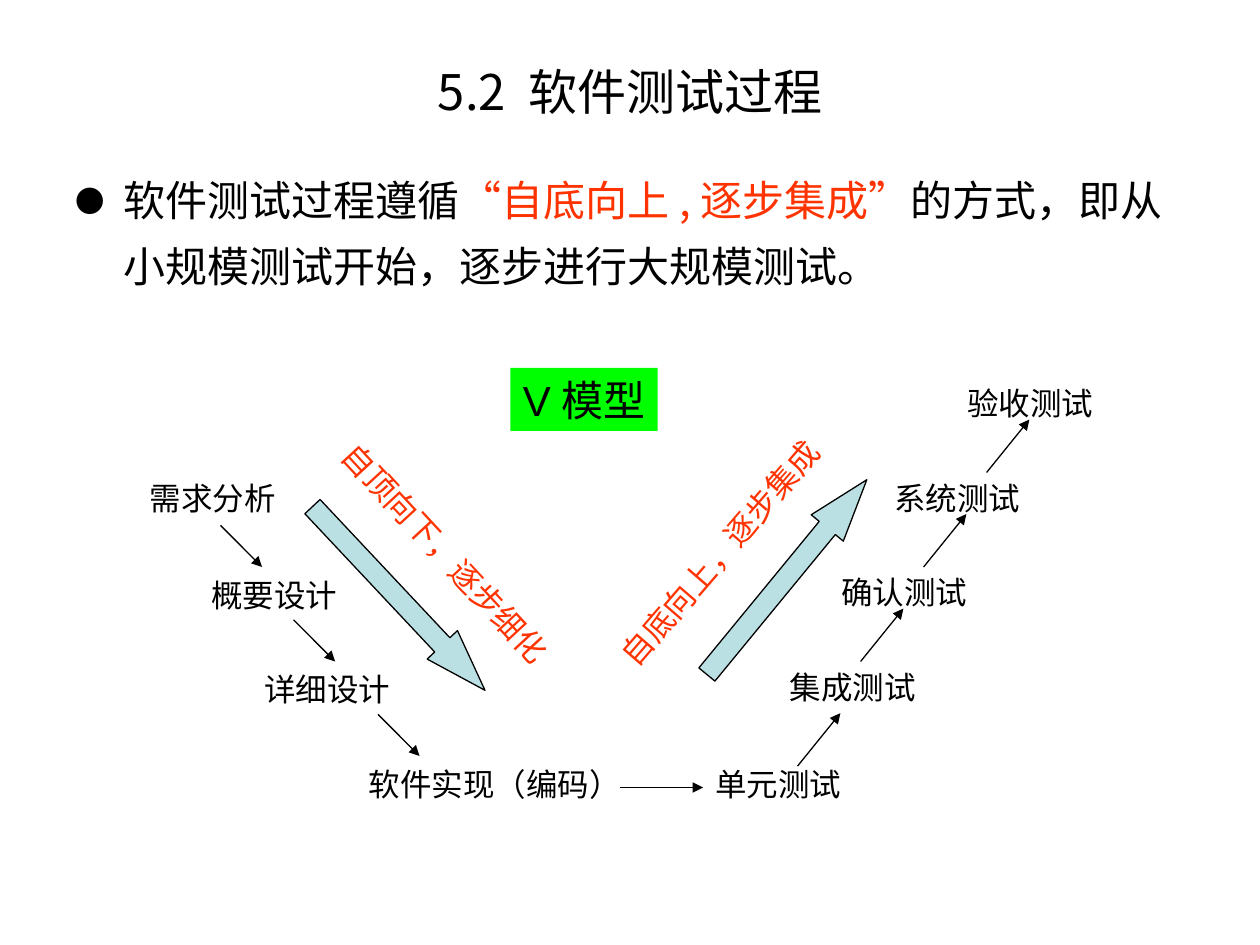
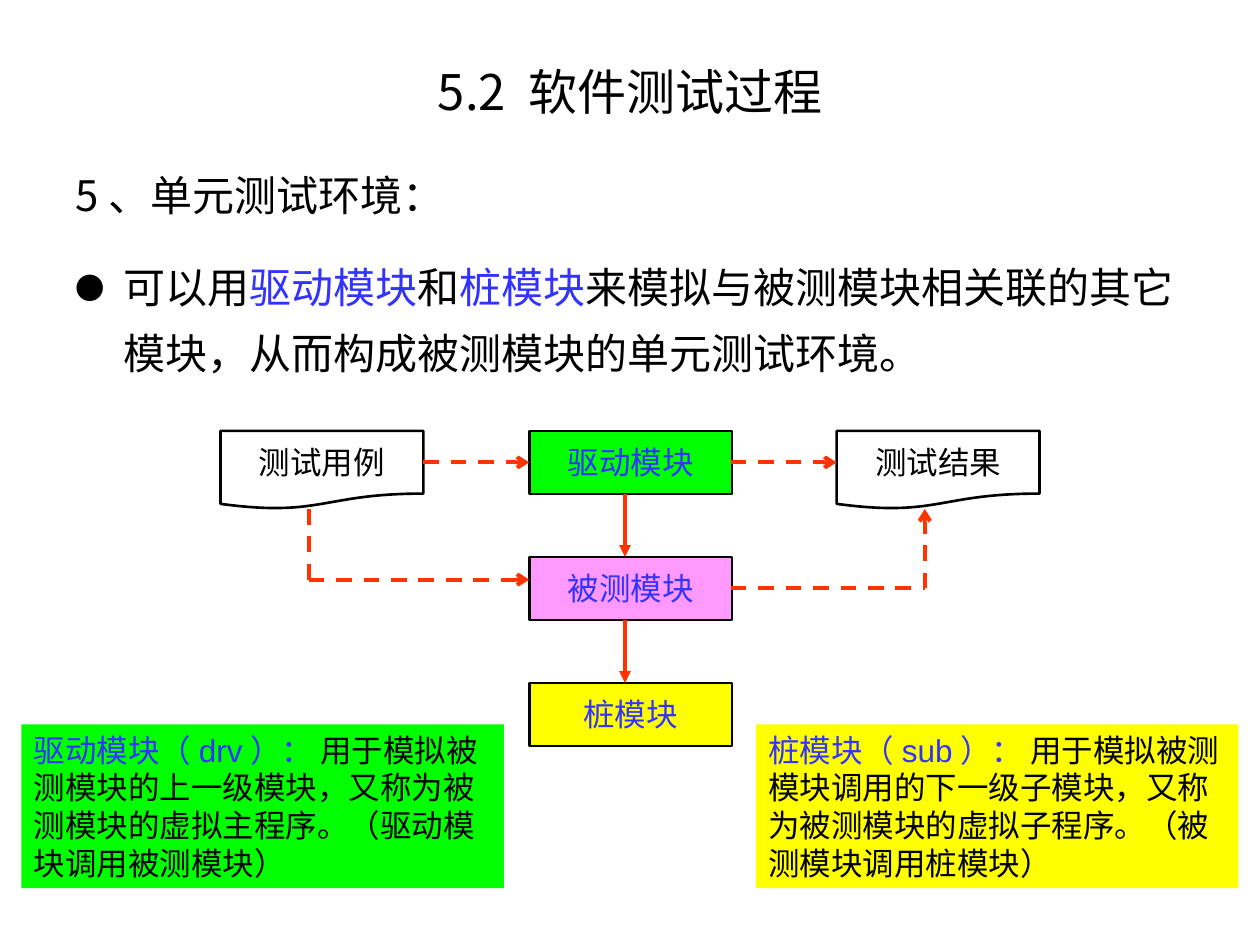
from dataclasses import dataclass
from typing import NamedTuple, Optional

from pptx import Presentation
from pptx.dml.color import RGBColor
from pptx.enum.dml import MSO_LINE
from pptx.enum.lang import MSO_LANGUAGE_ID
from pptx.enum.shapes import MSO_CONNECTOR, MSO_SHAPE
from pptx.enum.text import MSO_ANCHOR, PP_ALIGN
from pptx.oxml.ns import qn
from pptx.util import Inches, Pt
from lxml import etree

RECTANGLE, DOCUMENT = MSO_SHAPE.RECTANGLE, MSO_SHAPE.FLOWCHART_DOCUMENT
DOWN_ARROW, STRAIGHT = MSO_SHAPE.DOWN_ARROW, MSO_CONNECTOR.STRAIGHT
LEFT, CENTER = PP_ALIGN.LEFT, PP_ALIGN.CENTER
TOP, MIDDLE = MSO_ANCHOR.TOP, MSO_ANCHOR.MIDDLE
CHINESE = MSO_LANGUAGE_ID.SIMPLIFIED_CHINESE


@dataclass(frozen=True)
class Theme:
    black: str = "000000"
    white: str = "FFFFFF"
    red: str = "FF3300"
    blue: str = "3333FF"
    green: str = "00FF00"
    yellow: str = "FFFF00"
    pink: str = "FF99FF"
    pale_blue: str = "BBE0E3"
    cjk: str = "Noto Sans CJK SC"
    sans: str = "Arial"
    serif: str = "Times New Roman"
    title_size: int = 28
    body_size: int = 24
    label_size: int = 18
    thin: float = 0.75
    outline: float = 1.5
    thick: float = 2.25


THEME = Theme()
TITLE = "5.2 软件测试过程"


class Span(NamedTuple):
    text: str
    color: str = THEME.black
    font: str = THEME.cjk


class Area(NamedTuple):
    left: float
    top: float
    width: float
    height: float


class Label(NamedTuple):
    text: str
    left: float
    top: float
    width: float = 1.2


class Slope(NamedTuple):
    text: str
    text_area: Area
    text_angle: float
    arrow_area: Area
    arrow_angle: float


class Module(NamedTuple):
    text: str
    left: float
    top: float
    fill: str
    color: str = THEME.blue
    kind: MSO_SHAPE = RECTANGLE
    height: float = 0.5


class Line(NamedTuple):
    x1: float
    y1: float
    x2: float
    y2: float
    head: Optional[str] = "triangle"
    dashed: bool = False


class Note(NamedTuple):
    left: float
    fill: str
    spans: list[Span]


STAGES = [
    Label("需求分析", 1.09, 3.75), Label("概要设计", 1.58, 4.52),
    Label("详细设计", 2, 5.27), Label("软件实现（编码）", 2.83, 6.02, 2.2),
    Label("单元测试", 5.58, 6.02), Label("集成测试", 6.17, 5.25),
    Label("确认测试", 6.58, 4.5), Label("系统测试", 7, 3.75),
    Label("验收测试", 7.58, 3),
]
DESIGN_STEPS = [(1.75, 4.17), (2.33, 4.92), (3, 5.67)]
TEST_STEPS = [(6.33 + 0.5 * step, top)
              for step, top in enumerate((6.08, 5.25, 4.5, 3.75))]
STAGE_LINES = (
    [Line(x, y, x + 0.33, y + 0.33) for x, y in DESIGN_STEPS]
    + [Line(4.92, 6.25, 5.58, 6.25)]
    + [Line(x, y, x + 0.34, y - 0.42) for x, y in TEST_STEPS]
)
SLOPES = [
    Slope("自顶向下，逐步细化", Area(2.31, 4.19, 2.45, 0.4), 47.2,
          Area(3, 3.75, 0.33, 2), 316.8),
    Slope("自底向上，逐步集成", Area(4.49, 4.19, 2.45, 0.4), 310.8,
          Area(6.08, 3.58, 0.33, 2), 219.4),
]

MODULE_WIDTH = 1.61
MODULES = [
    Module("测试用例", 1.75, 3.42, THEME.white, THEME.black, DOCUMENT, 0.62),
    Module("驱动模块", 4.2, 3.42, THEME.green),
    Module("测试结果", 6.64, 3.42, THEME.white, THEME.black, DOCUMENT, 0.62),
    Module("被测模块", 4.2, 4.42, THEME.pink),
    Module("桩模块", 4.2, 5.42, THEME.yellow),
]
MODULE_LINES = [
    Line(3.36, 3.67, 4.2, 3.67, "arrow", True),
    Line(5.8, 3.67, 6.64, 3.67, "arrow", True),
    Line(2.45, 4.04, 2.45, 4.6, None, True),
    Line(2.45, 4.6, 4.2, 4.6, "arrow", True),
    Line(5.8, 4.67, 7.34, 4.67, None, True),
    Line(7.34, 4.67, 7.34, 4.04, "arrow", True),
    Line(4.96, 3.92, 4.96, 4.42),
    Line(4.96, 4.92, 4.96, 5.42),
]
NOTES = [
    Note(0.17, THEME.green, [
        Span("驱动模块（", THEME.blue), Span("drv", THEME.blue, THEME.sans),
        Span("）： ", THEME.blue),
        Span("用于模拟被测模块的上一级模块，又称为被测模块的虚拟主程序。（驱动模块调用被测模块）"),
    ]),
    Note(6, THEME.yellow, [
        Span("桩模块（sub）： ", THEME.blue, THEME.sans),
        Span("用于模拟被测模块调用的下一级子模块，又称为被测模块的虚拟子程序。（被测模块调用桩模块）",
             font=THEME.sans),
    ]),
]


def add_spans(para, spans: list[Span], size: float, align=LEFT) -> None:
    para.alignment = align
    for span in spans:
        run = para.add_run()
        run.text = span.text
        run.font.size = Pt(size)
        run.font.name = span.font
        run.font.language_id = CHINESE
        run.font.color.rgb = RGBColor.from_string(span.color)
        latin = run.font._element.find(qn("a:latin"))
        east_asian = etree.Element(qn("a:ea"), typeface=THEME.cjk)
        latin.addnext(east_asian)


def set_frame(shape, anchor=TOP, wrap: bool = True):
    frame = shape.text_frame
    frame.word_wrap = wrap
    frame.vertical_anchor = anchor
    return frame


def add_text(page, area: Area, spans: list[Span], size: float, align=LEFT,
             anchor=TOP, wrap: bool = True):
    box = page.shapes.add_textbox(*map(Inches, area))
    add_spans(set_frame(box, anchor, wrap).paragraphs[0], spans, size, align)
    return box


def add_figure(page, kind, area: Area, fill: str, line_width: float = 0):
    """Add a preset shape, outlined in black if it has a line width."""
    figure = page.shapes.add_shape(kind, *map(Inches, area))
    figure.shadow.inherit = False
    figure.fill.solid()
    figure.fill.fore_color.rgb = RGBColor.from_string(fill)
    if line_width:
        figure.line.color.rgb = RGBColor.from_string(THEME.black)
        figure.line.width = Pt(line_width)
    else:
        figure.line.fill.background()
    return figure


def add_line(page, line: Line, color: str, width: float) -> None:
    ends = (line.x1, line.y1, line.x2, line.y2)
    connector = page.shapes.add_connector(STRAIGHT, *map(Inches, ends))
    connector.line.color.rgb = RGBColor.from_string(color)
    connector.line.width = Pt(width)
    if line.dashed:
        connector.line.dash_style = MSO_LINE.DASH
    properties = connector._element.spPr
    if line.head:
        outline = properties.find(qn("a:ln"))
        etree.SubElement(outline, qn("a:tailEnd"), type=line.head)
    etree.SubElement(properties, qn("a:effectLst"))


def make_bullet(para) -> None:
    para.line_spacing = 1.3
    properties = para._p.get_or_add_pPr()
    properties.set("marL", str(Inches(0.38)))
    properties.set("indent", str(Inches(-0.38)))
    color = etree.SubElement(properties, qn("a:buClr"))
    etree.SubElement(color, qn("a:srgbClr"), val=THEME.black)
    etree.SubElement(properties, qn("a:buSzPct"), val="70000")
    etree.SubElement(properties, qn("a:buFont"), typeface=THEME.cjk)
    etree.SubElement(properties, qn("a:buChar"), char="●")


def add_page(deck):
    """Add a blank page with the shared title."""
    page = deck.slides.add_slide(deck.slide_layouts[6])
    add_text(page, Area(0.5, 0.33, 9, 0.78), [Span(TITLE)],
             THEME.title_size, CENTER, MIDDLE)
    return page


def add_body(page, area: Area, bullet: list[Span], heading: str = "") -> None:
    """Add the body text: an optional heading, then one bullet."""
    box = page.shapes.add_textbox(*map(Inches, area))
    frame = set_frame(box)
    para = frame.paragraphs[0]
    if heading:
        para.space_before = Pt(15)
        add_spans(para, [Span(heading)], THEME.body_size)
        para = frame.add_paragraph()
    para.space_before = Pt(15)
    make_bullet(para)
    add_spans(para, bullet, THEME.body_size)


def build_v_model(deck) -> None:
    page = add_page(deck)
    add_body(page, Area(0.5, 1.22, 9, 5.53), [
        Span("软件测试过程遵循"),
        Span("“自底向上,逐步集成”", THEME.red),
        Span("的方式，即从小规模测试开始，逐步进行大规模测试。"),
    ])
    for stage in STAGES:
        add_text(page, Area(stage.left, stage.top, stage.width, 0.4),
                 [Span(stage.text, font=THEME.sans)], THEME.label_size, wrap=False)
    for line in STAGE_LINES:
        add_line(page, line, THEME.black, THEME.thin)
    for slope in SLOPES:
        arrow = add_figure(page, DOWN_ARROW, slope.arrow_area,
                           THEME.pale_blue, THEME.thin)
        arrow.adjustments[0], arrow.adjustments[1] = 0.5, 1.5
        arrow.rotation = slope.arrow_angle
        caption = add_text(page, slope.text_area,
                           [Span(slope.text, THEME.red, THEME.sans)],
                           THEME.label_size, wrap=False)
        caption.rotation = slope.text_angle
    badge = add_figure(page, RECTANGLE, Area(4.05, 2.92, 1.17, 0.5), THEME.green)
    add_spans(set_frame(badge, wrap=False).paragraphs[0],
              [Span("V模型", font=THEME.sans)], THEME.body_size, CENTER)


def build_unit_test_environment(deck) -> None:
    page = add_page(deck)
    add_body(page, Area(0.5, 1.3, 9, 5.7), [
        Span("可以用"), Span("驱动模块", THEME.blue),
        Span("和"), Span("桩模块", THEME.blue),
        Span("来模拟与被测模块相关联的其它模块，从而构成被测模块的单元测试环境。"),
    ], heading="5、单元测试环境：")
    for module in MODULES:
        area = Area(module.left, module.top, MODULE_WIDTH, module.height)
        figure = add_figure(page, module.kind, area, module.fill, THEME.outline)
        add_spans(set_frame(figure, MIDDLE, wrap=False).paragraphs[0],
                  [Span(module.text, module.color, THEME.serif)],
                  THEME.label_size, CENTER)
    for line in MODULE_LINES:
        add_line(page, line, THEME.red, THEME.thick)
    for note in NOTES:
        panel = add_figure(page, RECTANGLE, Area(note.left, 5.75, 3.83, 1.3), note.fill)
        add_spans(set_frame(panel).paragraphs[0], note.spans, THEME.label_size)


def main() -> None:
    deck = Presentation()
    deck.slide_width, deck.slide_height = Inches(10), Inches(7.5)
    build_v_model(deck)
    build_unit_test_environment(deck)
    deck.save("out.pptx")


if __name__ == "__main__":
    main()
